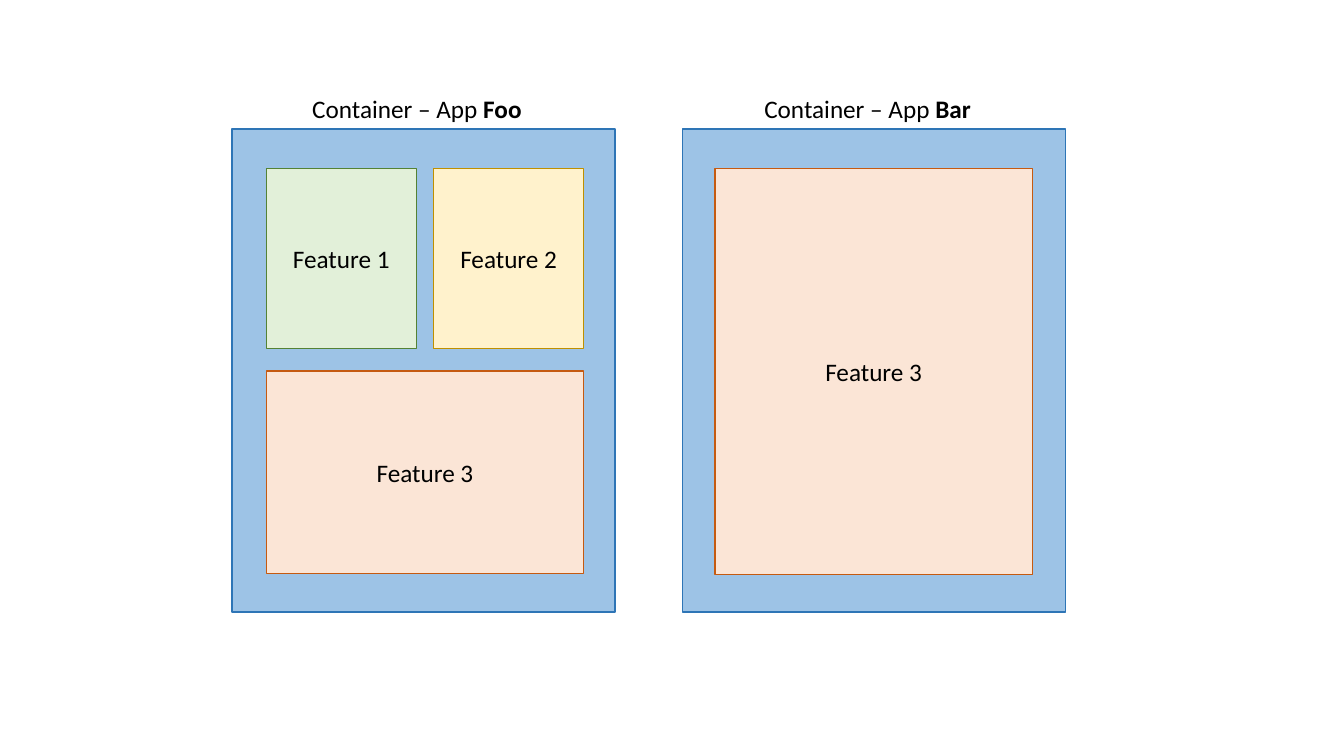
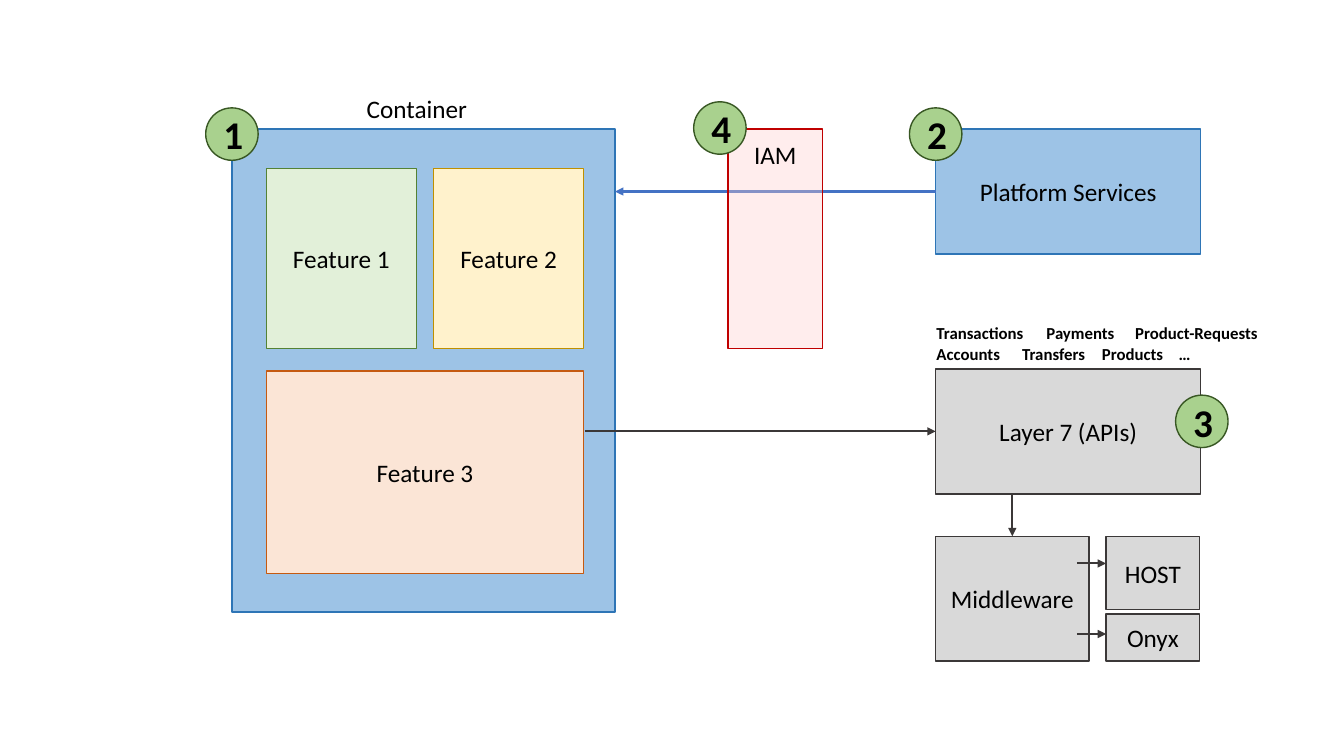
from lxml import etree
from pptx import Presentation
from pptx.dml.color import RGBColor
from pptx.enum.shapes import MSO_CONNECTOR, MSO_SHAPE
from pptx.enum.text import MSO_ANCHOR, MSO_AUTO_SIZE, PP_ALIGN
from pptx.oxml.ns import qn
from pptx.util import Inches, Pt

COLORS = {
    "text": "000000",
    "blue": "9DC3E6", "blue_edge": "2E75B6",
    "green": "E2F0D9", "green_edge": "548235",
    "yellow": "FFF2CC", "yellow_edge": "BF9000",
    "orange": "FBE5D6", "orange_edge": "C55A11",
    "grey": "D9D9D9", "grey_edge": "3B3838",
    "red": "FFCCCC", "red_edge": "C00000",
    "badge": "A9D18E", "badge_edge": "385723",
    "service_arrow": "4472C4",
}
FONT = "Calibri"
TOP = 1.28            # upper edge of the containers
CONTAINER_LEFT = 2.3
FEATURE_TOP = 1.67
FEATURE_HEIGHT = 1.79
SERVICE_LEFT = 9.28
SERVICE_SIZE = (2.63, 1.24)
BADGE_SIZE = 0.52
LEFT_SIDE, TOP_SIDE = 1, 0


def color(name):
    return RGBColor.from_string(COLORS[name])


class Diagram:
    """Holds the style and the slide being drawn."""

    def __init__(self, deck):
        self.deck = deck
        self.page = None

    def new_page(self):
        self.page = self.deck.slides.add_slide(self.deck.slide_layouts[6])

    def set_text(self, frame, spans, size=18, bold=False, align=PP_ALIGN.CENTER):
        """Fill a frame with one paragraph of (text, bold) spans."""
        para = frame.paragraphs[0]
        para.alignment = align
        para.font.name = FONT
        para.font.size = Pt(size)
        para.font.bold = bold
        para.font.color.rgb = color("text")
        for text, strong in spans:
            span = para.add_run()
            span.text = text
            if strong:
                span.font.bold = True

    def block(self, left, top, width, height, tone, text="", size=18,
              bold=False, kind=MSO_SHAPE.RECTANGLE, opacity=None):
        box = self.page.shapes.add_shape(
            kind, Inches(left), Inches(top), Inches(width), Inches(height))
        box.shadow.inherit = False
        box.fill.solid()
        box.fill.fore_color.rgb = color(tone)
        box.line.color.rgb = color(tone + "_edge")
        box.line.width = Pt(1)
        if opacity is not None:
            fill = box._element.spPr.find(qn("a:solidFill"))[0]
            etree.SubElement(fill, qn("a:alpha")).set("val", str(opacity * 1000))
        if text:
            box.text_frame.vertical_anchor = MSO_ANCHOR.MIDDLE
            self.set_text(box.text_frame, [(text, False)], size, bold)
        return box

    def label(self, left, top, width, height, spans, wrap=True, **style):
        box = self.page.shapes.add_textbox(
            Inches(left), Inches(top), Inches(width), Inches(height))
        box.text_frame.word_wrap = wrap
        box.text_frame.auto_size = MSO_AUTO_SIZE.SHAPE_TO_FIT_TEXT
        self.set_text(box.text_frame, spans, **style)

    def badge(self, left, top, number):
        self.block(left, top, BADGE_SIZE, BADGE_SIZE, "badge", number,
                   size=28, bold=True, kind=MSO_SHAPE.OVAL)

    def arrow(self, start, end, tone="grey_edge", source=None, target=None):
        """Draw an arrow; source and target are (box, side) to join."""
        line = self.page.shapes.add_connector(
            MSO_CONNECTOR.STRAIGHT, *map(Inches, start + end))
        if source:
            line.begin_connect(*source)
        if target:
            line.end_connect(*target)
        line.line.color.rgb = color(tone)
        line.line.width = Pt(1.5)
        outline = line._element.spPr.find(qn("a:ln"))
        etree.SubElement(outline, qn("a:tailEnd")).set("type", "triangle")
        etree.SubElement(line._element.spPr, qn("a:effectLst"))

    def container(self, left, spans):
        self.block(left, TOP, 3.8, 4.79, "blue")
        self.label(left, 0.88, 3.67, 0.4, spans)

    def three_features(self):
        left = CONTAINER_LEFT + 0.34
        for index, tone in enumerate(("green", "yellow")):
            self.block(left + index * 1.66, FEATURE_TOP, 1.49, FEATURE_HEIGHT,
                       tone, f"Feature {index + 1}")
        self.block(left, 3.68, 3.15, 2.01, "orange", "Feature 3")


def apps_page(diagram):
    diagram.new_page()
    diagram.container(CONTAINER_LEFT, [("Container – App ", False), ("Foo", True)])
    diagram.three_features()
    diagram.container(6.77, [("Container – App ", False), ("Bar", True)])
    diagram.block(7.09, FEATURE_TOP, 3.15, 4.03, "orange", "Feature 3")


def architecture_page(diagram):
    diagram.new_page()

    # 1: container
    diagram.container(CONTAINER_LEFT, [("Container", False)])
    diagram.three_features()
    diagram.badge(2.04, 1.07, "1")

    # 2: platform services
    platform = diagram.block(SERVICE_LEFT, TOP, *SERVICE_SIZE, "blue",
                             "Platform Services")
    diagram.arrow((SERVICE_LEFT, 1.9), (6.1, 1.9), "service_arrow",
                  source=(platform, LEFT_SIDE))
    diagram.badge(9.02, 1.07, "2")

    # 3: APIs and the systems behind them
    apis = diagram.block(SERVICE_LEFT, 3.66, *SERVICE_SIZE, "grey",
                         "Layer 7 (APIs)")
    diagram.arrow((5.8, 4.28), (SERVICE_LEFT, 4.28), target=(apis, LEFT_SIDE))
    middleware = diagram.block(SERVICE_LEFT, 5.32, 1.52, 1.24, "grey",
                               "Middleware")
    diagram.arrow((10.04, 4.9), (10.04, 5.32), target=(middleware, TOP_SIDE))
    for name, top, height, arrow_y in (("HOST", 5.32, 0.73, 5.59),
                                       ("Onyx", 6.09, 0.47, 6.29)):
        diagram.block(10.97, top, 0.93, height, "grey", name)
        diagram.arrow((10.68, arrow_y), (10.97, arrow_y))

    # API names in two rows: (text, left, width)
    api_rows = {
        3.15: (("Transactions", 9.19, 1.07), ("Payments", 10.28, 0.88),
               ("Product-Requests", 11.16, 1.43)),
        3.36: (("Accounts", 9.19, 0.84), ("Transfers", 10.04, 0.83),
               ("Products", 10.83, 0.82), ("…", 11.59, 0.32)),
    }
    for top, names in api_rows.items():
        for name, left, width in names:
            diagram.label(left, top, width, 0.3, [(name, False)], wrap=False,
                          size=12, bold=True, align=PP_ALIGN.LEFT)
    diagram.badge(11.66, 3.92, "3")

    # 4: access management, see-through over the service arrow
    diagram.block(7.22, TOP, 0.94, 2.18, "red", opacity=35)
    diagram.label(7.22, 1.33, 0.94, 0.4, [("IAM", False)])
    diagram.badge(6.88, 1.01, "4")


def main():
    deck = Presentation()
    deck.slide_width = Inches(13.33)
    deck.slide_height = Inches(7.5)
    diagram = Diagram(deck)
    apps_page(diagram)
    architecture_page(diagram)
    deck.save("out.pptx")


if __name__ == "__main__":
    main()
